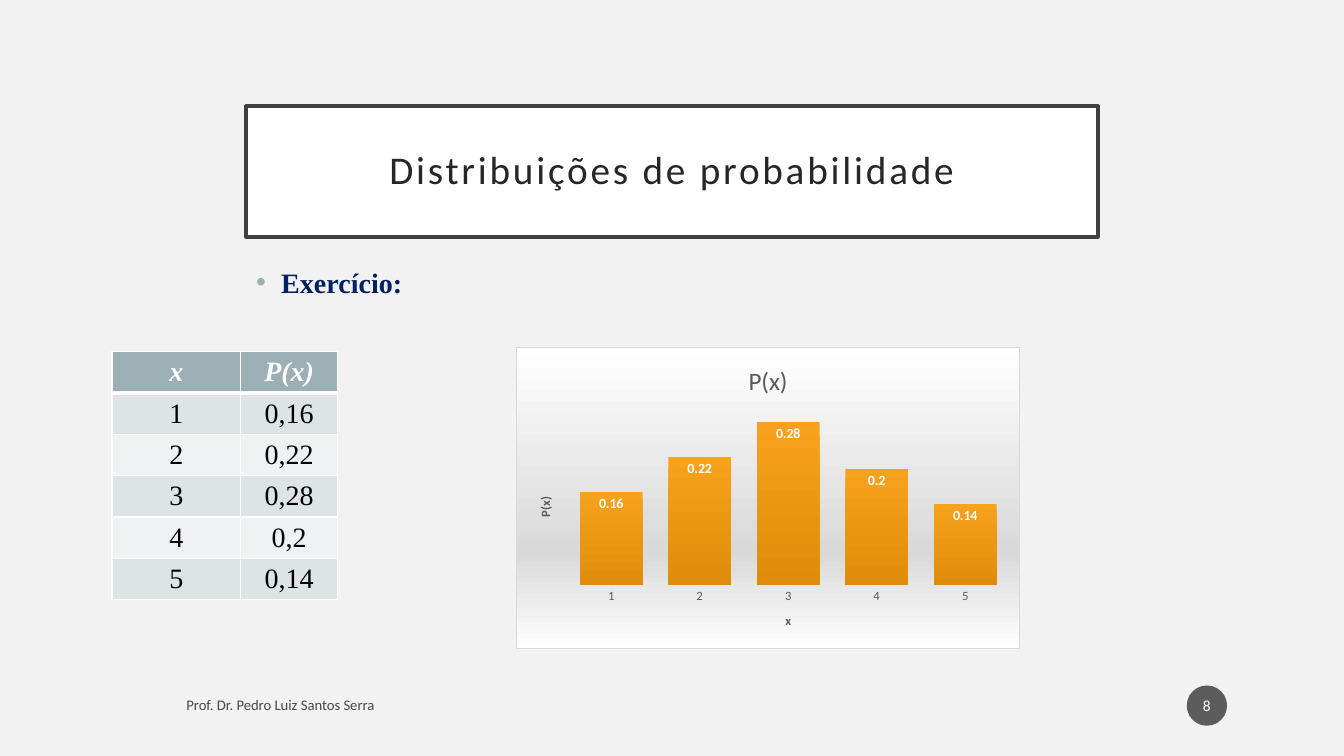
from dataclasses import dataclass
from typing import Optional

from pptx import Presentation
from pptx import util as u
from pptx.chart.data import CategoryChartData
from pptx.dml.color import RGBColor
from pptx.enum import chart as ch, shapes, text
from pptx.oxml import parse_xml
from pptx.oxml.ns import nsdecls, qn


@dataclass(frozen=True)
class Theme:
    background: str = "F2F2F2"
    white: str = "FFFFFF"
    black: str = "000000"
    title_ink: str = "262626"
    title_frame: str = "404040"
    exercise: str = "002060"
    accent: str = "9BAFB5"
    bands: tuple = ("DEE3E5", "EFF2F3")
    badge: str = "1D1D1D"
    chart_ink: str = "595959"
    chart_edge: str = "D9D9D9"
    chart_stops: tuple = ((0, "FFFFFF"), (68, "D9D9D9"), (100, "FFFFFF"))
    bar_stops: tuple = ((0, "F6A21D"), (100, "DE8C09"))
    sans: str = "Calibri"
    serif: str = "Times New Roman"
    title_size: float = 28
    body_size: float = 20
    chart_title_size: float = 18
    badge_size: float = 11
    footer_size: float = 10.5
    label_size: float = 10
    axis_size: float = 9


@dataclass(frozen=True)
class Area:
    left: float
    top: float
    width: float
    height: float

    def emu(self) -> tuple:
        across, down = SLIDE_WIDTH / 100, SLIDE_HEIGHT / 100
        return tuple(int(share * unit) for share, unit in (
            (self.left, across), (self.top, down),
            (self.width, across), (self.height, down)))


@dataclass(frozen=True)
class Outcome:
    x: int
    probability: float


THEME = Theme()
SLIDE_WIDTH, SLIDE_HEIGHT = u.Inches(13.33), u.Inches(7.5)
TITLE_AREA = Area(18.3, 14, 63.4, 17.33)
EXERCISE_AREA = Area(18.3, 34.4, 13.65, 6.67)
TABLE_AREA = Area(8.33, 46.53, 16.8, 32.8)
CHART_AREA = Area(38.4, 45.87, 37.5, 40)
FOOTER_AREA = Area(13.13, 90.93, 48.4, 4.67)
BADGE_AREA = Area(88.3, 90.67, 3, 5.33)
COLUMN_SHARES = (0.57, 0.43)
HEADINGS = ("x", "P(x)")
OUTCOMES = [Outcome(x, p) for x, p in enumerate((0.16, 0.22, 0.28, 0.2, 0.14), 1)]


def rgb(color: str) -> RGBColor:
    return RGBColor.from_string(color)


def set_alpha(color_parent, percent: int) -> None:
    for color in color_parent.iter(qn("a:srgbClr")):
        color.append(parse_xml(f'<a:alpha {nsdecls("a")} val="{percent * 1000}"/>'))


def write(paragraph, wording: str, *, size: float, color: str, font: str = THEME.sans,
          bold: bool = False, italic: bool = False, align=None,
          spacing: float = 0, alpha: Optional[int] = None) -> None:
    run = paragraph.add_run()
    run.text = wording
    run.font.size, run.font.name = u.Pt(size), font
    run.font.bold, run.font.italic = bold, italic
    run.font.color.rgb = rgb(color)
    properties = run._r.get_or_add_rPr()
    if spacing:
        properties.set("spc", str(int(spacing * 100)))
    if alpha is not None:
        set_alpha(properties, alpha)
    if align is not None:
        paragraph.alignment = align


def place(shape, area: Area, anchor, inset: tuple = (0.1, 0.05)):
    shape.left, shape.top, shape.width, shape.height = area.emu()
    frame = shape.text_frame
    frame.word_wrap, frame.auto_size = True, text.MSO_AUTO_SIZE.NONE
    frame.vertical_anchor = anchor
    frame.margin_left = frame.margin_right = u.Inches(inset[0])
    frame.margin_top = frame.margin_bottom = u.Inches(inset[1])
    return frame.paragraphs[0]


def gradient(stops: tuple) -> str:
    listed = "".join(f'<a:gs pos="{pos * 1000}"><a:srgbClr val="{color}"/></a:gs>'
                     for pos, color in stops)
    return (f'<a:gradFill {nsdecls("a")}><a:gsLst>{listed}</a:gsLst>'
            '<a:lin ang="5400000" scaled="0"/></a:gradFill>')


def add_title(slide) -> None:
    title = slide.shapes.title
    heading = place(title, TITLE_AREA, text.MSO_ANCHOR.MIDDLE, (0.2, 0.2))
    title.fill.solid()
    title.fill.fore_color.rgb = rgb(THEME.white)
    title.line.color.rgb = rgb(THEME.title_frame)
    title.line.width = u.Pt(2.5)
    heading.line_spacing = 0.9
    write(heading, "Distribuições de probabilidade", size=THEME.title_size,
          color=THEME.title_ink, align=text.PP_ALIGN.CENTER, spacing=2)


def add_exercise(slide) -> None:
    item = place(slide.placeholders[1], EXERCISE_AREA, text.MSO_ANCHOR.TOP)
    properties = item._p.get_or_add_pPr()
    properties.set("marL", str(u.Inches(0.25)))
    properties.set("indent", str(u.Inches(-0.25)))
    for bullet in (f'<a:buClr {nsdecls("a")}><a:srgbClr val="{THEME.accent}"/></a:buClr>',
                   f'<a:buFont {nsdecls("a")} typeface="Arial"/>',
                   f'<a:buChar {nsdecls("a")} char="•"/>'):
        properties.append(parse_xml(bullet))
    item.space_before = u.Pt(0)
    write(item, "Exercício:", size=THEME.body_size, color=THEME.exercise,
          font=THEME.serif, bold=True, align=text.PP_ALIGN.JUSTIFY)


def add_footer(slide) -> None:
    author = place(slide.shapes.add_textbox(*FOOTER_AREA.emu()), FOOTER_AREA,
                   text.MSO_ANCHOR.MIDDLE)
    write(author, "Prof. Dr. Pedro Luiz Santos Serra", size=THEME.footer_size,
          color=THEME.black, alpha=70)
    badge = slide.shapes.add_shape(shapes.MSO_SHAPE.OVAL, *BADGE_AREA.emu())
    badge.shadow.inherit = False
    badge.fill.solid()
    badge.fill.fore_color.rgb = rgb(THEME.badge)
    set_alpha(badge._element.spPr, 70)
    badge.line.fill.background()
    write(place(badge, BADGE_AREA, text.MSO_ANCHOR.MIDDLE, (0.02, 0.05)), "8",
          size=THEME.badge_size, color=THEME.white, align=text.PP_ALIGN.CENTER)


def set_borders(cell, top: float, bottom: float) -> None:
    properties = cell._tc.get_or_add_tcPr()
    for index, (side, points) in enumerate(
            (("L", 1), ("R", 1), ("T", top), ("B", bottom))):
        properties.insert(index, parse_xml(
            f'<a:ln{side} {nsdecls("a")} w="{u.Pt(points)}"><a:solidFill>'
            f'<a:srgbClr val="{THEME.white}"/></a:solidFill></a:ln{side}>'))


def add_distribution_table(slide) -> None:
    rows = [HEADINGS] + [(str(o.x), str(o.probability).replace(".", ","))
                         for o in OUTCOMES]
    area = TABLE_AREA.emu()
    table = slide.shapes.add_table(len(rows), len(HEADINGS), *area).table
    for column, share in zip(table.columns, COLUMN_SHARES):
        column.width = int(area[2] * share)
    for r, row in enumerate(rows):
        header = r == 0
        for c, wording in enumerate(row):
            cell = table.cell(r, c)
            cell.fill.solid()
            cell.fill.fore_color.rgb = rgb(THEME.accent if header else THEME.bands[(r - 1) % 2])
            set_borders(cell, top=3 if r == 1 else 1, bottom=3 if header else 1)
            write(cell.text_frame.paragraphs[0], wording, size=THEME.body_size,
                  color=THEME.white if header else THEME.black, font=THEME.serif,
                  bold=header, italic=header, align=text.PP_ALIGN.CENTER)


def add_distribution_chart(slide) -> None:
    data = CategoryChartData()
    data.categories = [str(o.x) for o in OUTCOMES]
    data.add_series(HEADINGS[1], [o.probability for o in OUTCOMES])
    chart = slide.shapes.add_chart(ch.XL_CHART_TYPE.COLUMN_CLUSTERED,
                                   *CHART_AREA.emu(), data).chart
    chart.font.name, chart.font.size = THEME.sans, u.Pt(THEME.label_size)
    chart.has_legend = False
    x_axis, p_axis = chart.category_axis, chart.value_axis
    for titled, wording, size, bold in (
            (chart, HEADINGS[1], THEME.chart_title_size, False),
            (x_axis, HEADINGS[0], THEME.axis_size, True),
            (p_axis, HEADINGS[1], THEME.axis_size, True)):
        titled_part = titled.chart_title if titled is chart else titled.axis_title
        write(titled_part.text_frame.paragraphs[0], wording, size=size,
              color=THEME.chart_ink, bold=bold)
    rotation = p_axis.axis_title.text_frame._txBody.find(qn("a:bodyPr"))
    rotation.set("rot", "-5400000")
    rotation.set("vert", "horz")
    x_axis.major_tick_mark = ch.XL_TICK_MARK.NONE
    x_axis.format.line.fill.background()
    x_axis.tick_labels.font.size = u.Pt(THEME.axis_size)
    x_axis.tick_labels.font.color.rgb = rgb(THEME.chart_ink)
    p_axis.minimum_scale, p_axis.maximum_scale = 0, 0.3
    p_axis.has_major_gridlines = p_axis.visible = False

    plot = chart.plots[0]
    plot.gap_width, plot.vary_by_categories = 41, False
    bars = plot.series[0]
    bars.invert_if_negative = False
    bars._element.get_or_add_spPr().insert(0, parse_xml(gradient(THEME.bar_stops)))
    labels = bars.data_labels
    labels.show_value, labels.position = True, ch.XL_LABEL_POSITION.INSIDE_END
    labels.font.size, labels.font.bold = u.Pt(THEME.label_size), True
    labels.font.color.rgb = rgb(THEME.white)

    chart_root = chart._chartSpace
    chart_root.find(qn("c:chart")).addnext(parse_xml(
        f'<c:spPr {nsdecls("c", "a")}>{gradient(THEME.chart_stops)}'
        f'<a:ln w="{u.Pt(0.75)}"><a:solidFill><a:srgbClr val="{THEME.chart_edge}"/>'
        '</a:solidFill></a:ln></c:spPr>'))
    plot_area = chart_root.find(".//" + qn("c:plotArea"))
    for automatic in plot_area.findall(qn("c:layout")):
        plot_area.remove(automatic)
    edges = "".join(f'<c:{edge} val="{share}"/>' for edge, share in
                    (("x", 0.1), ("y", 0.21), ("w", 0.88), ("h", 0.58)))
    plot_area.insert(0, parse_xml(
        f'<c:layout {nsdecls("c")}><c:manualLayout><c:layoutTarget val="inner"/>'
        f'<c:xMode val="edge"/><c:yMode val="edge"/>{edges}</c:manualLayout></c:layout>'))


def main() -> None:
    deck = Presentation()
    deck.slide_width, deck.slide_height = SLIDE_WIDTH, SLIDE_HEIGHT
    slide = deck.slides.add_slide(deck.slide_layouts[1])
    slide.background.fill.solid()
    slide.background.fill.fore_color.rgb = rgb(THEME.background)
    for add_part in (add_title, add_exercise, add_footer,
                     add_distribution_table, add_distribution_chart):
        add_part(slide)
    deck.save("out.pptx")


if __name__ == "__main__":
    main()
